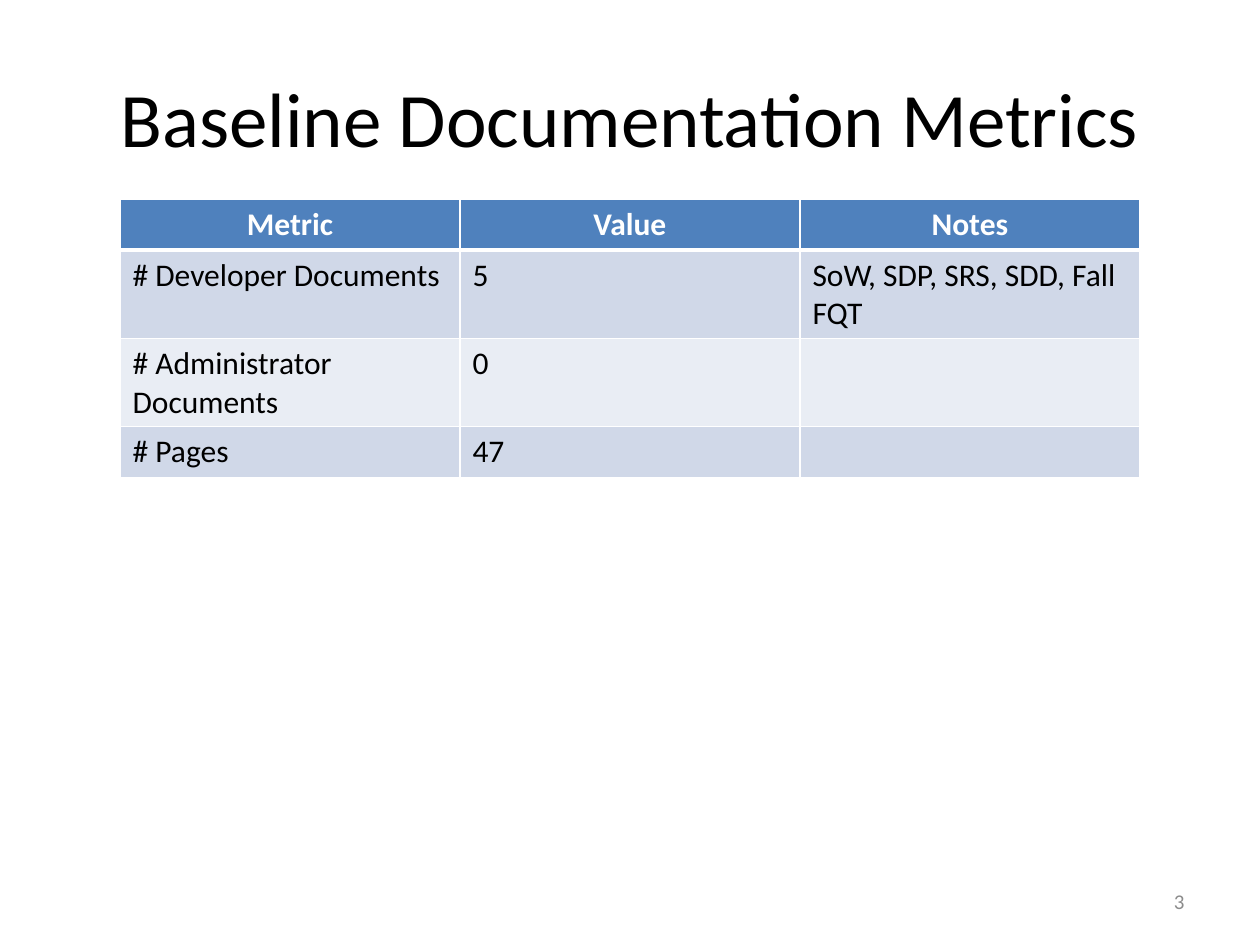
from lxml import etree
from pptx import Presentation
from pptx import util as u
from pptx.dml.color import RGBColor
from pptx.enum import text
from pptx.oxml.ns import qn

PX = 914400 / 126
BLACK = RGBColor(0x00, 0x00, 0x00)
WHITE = RGBColor(0xFF, 0xFF, 0xFF)
GREY = RGBColor(0x8C, 0x8C, 0x8C)
HEADER_BLUE = RGBColor(0x4F, 0x81, 0xBD)
BAND_DARK = RGBColor(0xD0, 0xD8, 0xE8)
BAND_LIGHT = RGBColor(0xE9, 0xED, 0xF4)

ROWS = [
    ("Metric", "Value", "Notes"),
    ("# Developer Documents", "5", "SoW, SDP, SRS, SDD, Fall FQT"),
    ("# Administrator Documents", "0", ""),
    ("# Pages", "47", ""),
]
COLUMN_WIDTH, ROW_HEIGHT = 340, 51


def px(*lengths):
    return [u.Emu(round(length * PX)) for length in lengths]


def write(frame, words, size, color, align, bold=False):
    """Fill the first paragraph of a text frame with one formatted span."""
    para = frame.paragraphs[0]
    para.alignment = align
    span = para.add_run()
    span.text = words
    look = {"name": "Calibri", "size": u.Pt(size), "bold": bold}
    for key, value in look.items():
        setattr(span.font, key, value)
    span.font.color.rgb = color


deck = Presentation()
deck.slide_width, deck.slide_height = px(1260, 945)
page = deck.slides.add_slide(deck.slide_layouts[5])

# Title
title = page.shapes.title
title.left, title.top, title.width, title.height = px(63, 38, 1134, 157)
title.text_frame.vertical_anchor = text.MSO_ANCHOR.MIDDLE
write(title.text_frame, "Baseline Documentation Metrics", 44, BLACK, text.PP_ALIGN.CENTER)

# Page number
number_box = page.shapes.add_textbox(*px(903, 876, 294, 50))
number_box.text_frame.word_wrap = True
number_box.text_frame.vertical_anchor = text.MSO_ANCHOR.MIDDLE
write(number_box.text_frame, "3", 12, GREY, text.PP_ALIGN.RIGHT)

# Metrics table
columns = len(ROWS[0])
table = page.shapes.add_table(
    len(ROWS), columns, *px(120, 199, columns * COLUMN_WIDTH, len(ROWS) * ROW_HEIGHT)
).table
for r, row in enumerate(ROWS):
    header = r == 0
    fill = HEADER_BLUE if header else (BAND_LIGHT, BAND_DARK)[r % 2]
    for c, words in enumerate(row):
        cell = table.cell(r, c)
        properties = cell._tc.get_or_add_tcPr()
        for side in "LRTB":
            thick = (header and side == "B") or (r == 1 and side == "T")
            line = etree.SubElement(
                properties, qn(f"a:ln{side}"), w=str(u.Pt(3 if thick else 1))
            )
            solid = etree.SubElement(line, qn("a:solidFill"))
            etree.SubElement(solid, qn("a:srgbClr"), val=str(WHITE))
        cell.fill.solid()
        cell.fill.fore_color.rgb = fill
        if words:
            write(
                cell.text_frame,
                words,
                18,
                WHITE if header else BLACK,
                text.PP_ALIGN.CENTER if header else text.PP_ALIGN.LEFT,
                header,
            )

deck.save("out.pptx")
